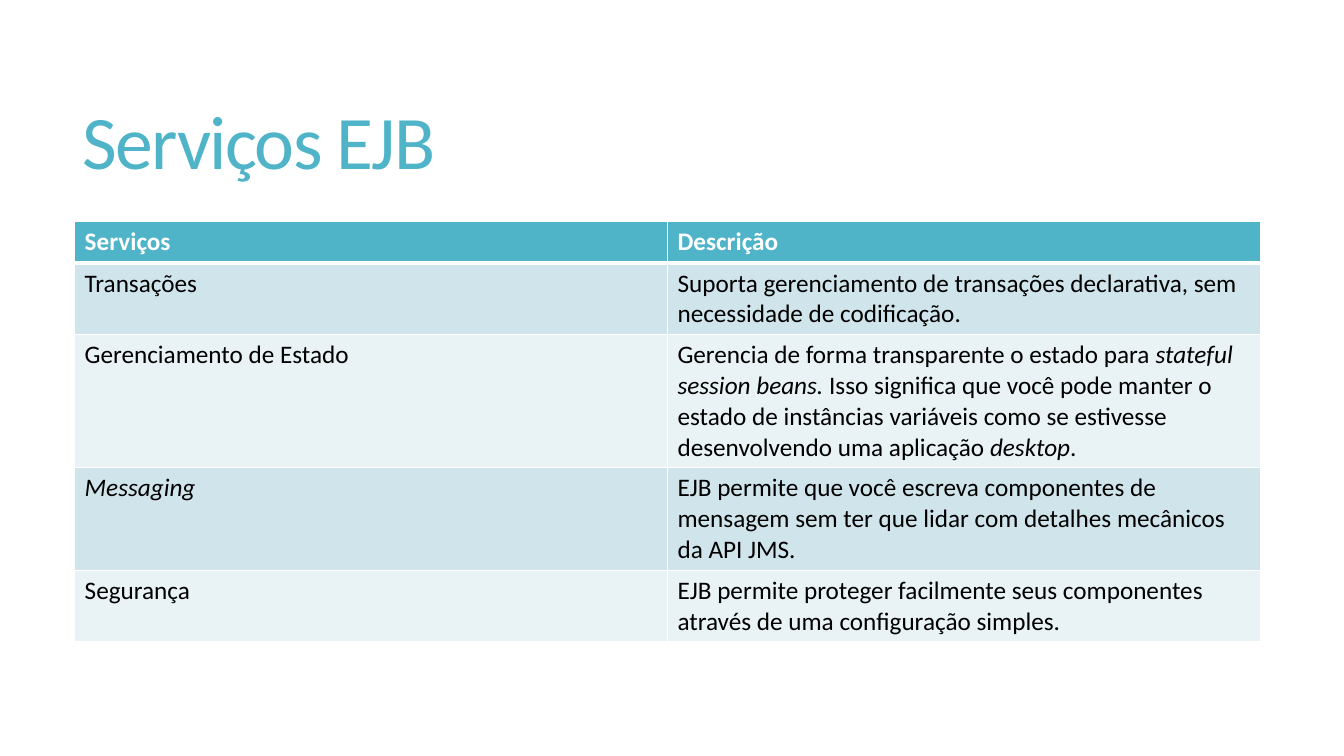
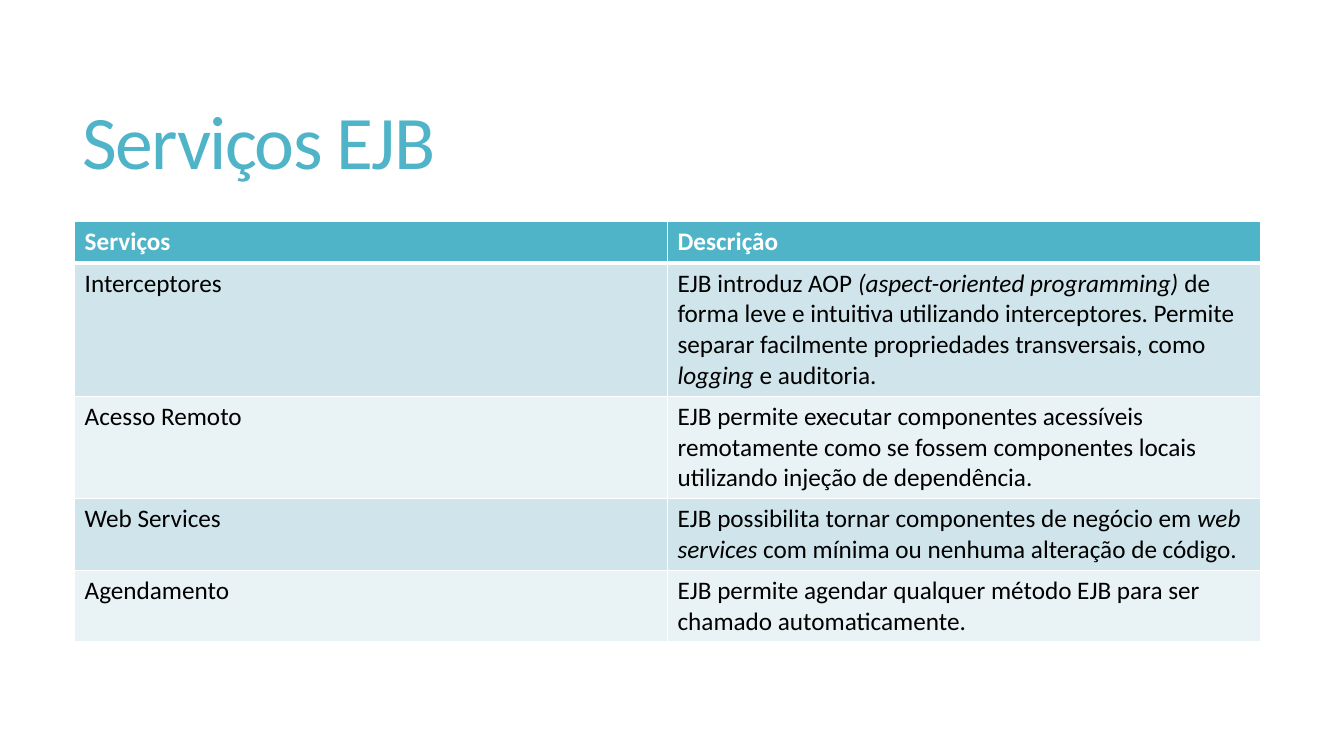
from lxml.etree import SubElement
from pptx import Presentation
from pptx.dml.color import RGBColor
from pptx.enum.text import MSO_ANCHOR, PP_ALIGN
from pptx.oxml.ns import qn
from pptx.util import Inches, Pt

TITLE = "Serviços EJB"
HEADER = ("Serviços", "Descrição")

# One list of rows per slide; asterisks enclose italic text
SLIDES = [
    [
        ("Transações",
         "Suporta gerenciamento de transações declarativa, sem necessidade de codificação."),
        ("Gerenciamento de Estado",
         "Gerencia de forma transparente o estado para *stateful session beans. *"
         "Isso significa que você pode manter o estado de instâncias variáveis "
         "como se estivesse desenvolvendo uma aplicação *desktop*."),
        ("*Messaging*",
         "EJB permite que você escreva componentes de mensagem sem ter que lidar "
         "com detalhes mecânicos da API JMS."),
        ("Segurança",
         "EJB permite proteger facilmente seus componentes através de uma "
         "configuração simples."),
    ],
    [
        ("Interceptores",
         "EJB introduz AOP *(aspect-oriented programming) *de forma leve e intuitiva "
         "utilizando interceptores. Permite separar facilmente propriedades "
         "transversais, como *logging *e auditoria."),
        ("Acesso Remoto",
         "EJB permite executar componentes acessíveis remotamente como se fossem "
         "componentes locais utilizando injeção de dependência."),
        ("Web Services",
         "EJB possibilita tornar componentes de negócio em *web services* com mínima "
         "ou nenhuma alteração de código."),
        ("Agendamento",
         "EJB permite agendar qualquer método EJB para ser chamado automaticamente."),
    ],
]

# Shared style
FONT = "Calibri"
TEAL, WHITE, BLACK = "50B4C8", "FFFFFF", "000000"
BANDS = ("D0E5EB", "E9F2F5")
COLUMN_WIDTH, ROW_HEIGHT = Inches(5.88), Inches(0.41)


def color(value):
    return RGBColor.from_string(value)


def style_font(paragraph, size, value, bold=False):
    font = paragraph.font
    font.name, font.size, font.bold = FONT, Pt(size), bold
    font.color.rgb = color(value)


def add_title(page):
    title = page.shapes.title
    title.left, title.top = Inches(0.72), Inches(0.55)
    title.width, title.height = Inches(11.78), Inches(1.81)
    frame = title.text_frame
    frame.text = TITLE
    frame.vertical_anchor = MSO_ANCHOR.MIDDLE
    para = frame.paragraphs[0]
    para.alignment = PP_ALIGN.LEFT
    para.line_spacing = 0.85
    style_font(para, 54, TEAL)
    # Tightened letter spacing, in hundredths of a point
    para.runs[0].font._element.set("spc", "-120")


def set_borders(cell, top, bottom):
    properties = cell._tc.get_or_add_tcPr()
    for side, width in (("L", 1), ("R", 1), ("T", top), ("B", bottom)):
        line = SubElement(properties, qn(f"a:ln{side}"), w=str(Pt(width)))
        fill = SubElement(line, qn("a:solidFill"))
        SubElement(fill, qn("a:srgbClr"), val=WHITE)


def fill_cell(cell, text, row):
    is_header = row == 0
    set_borders(cell, top=3 if row == 1 else 1, bottom=3 if is_header else 1)
    cell.fill.solid()
    cell.fill.fore_color.rgb = color(TEAL if is_header else BANDS[(row - 1) % 2])
    para = cell.text_frame.paragraphs[0]
    style_font(para, 18, WHITE if is_header else BLACK, is_header)
    for index, part in enumerate(text.split("*")):
        if part:
            span = para.add_run()
            span.text = part
            # Table cells take their look from runs
            span.font.name, span.font.size = FONT, Pt(18)
            span.font.bold, span.font.italic = is_header, index % 2 == 1
            span.font.color.rgb = color(WHITE if is_header else BLACK)


def add_services(page, services):
    rows = [HEADER, *services]
    columns = len(HEADER)
    table = page.shapes.add_table(
        len(rows), columns, Inches(0.74), Inches(2.2),
        COLUMN_WIDTH * columns, ROW_HEIGHT * len(rows)).table
    for row, texts in enumerate(rows):
        for column, text in enumerate(texts):
            fill_cell(table.cell(row, column), text, row)


def main():
    deck = Presentation()
    deck.slide_width, deck.slide_height = Inches(13.33), Inches(7.5)
    title_only = deck.slide_layouts[5]
    for services in SLIDES:
        page = deck.slides.add_slide(title_only)
        add_title(page)
        add_services(page, services)
    deck.save("out.pptx")


if __name__ == "__main__":
    main()
